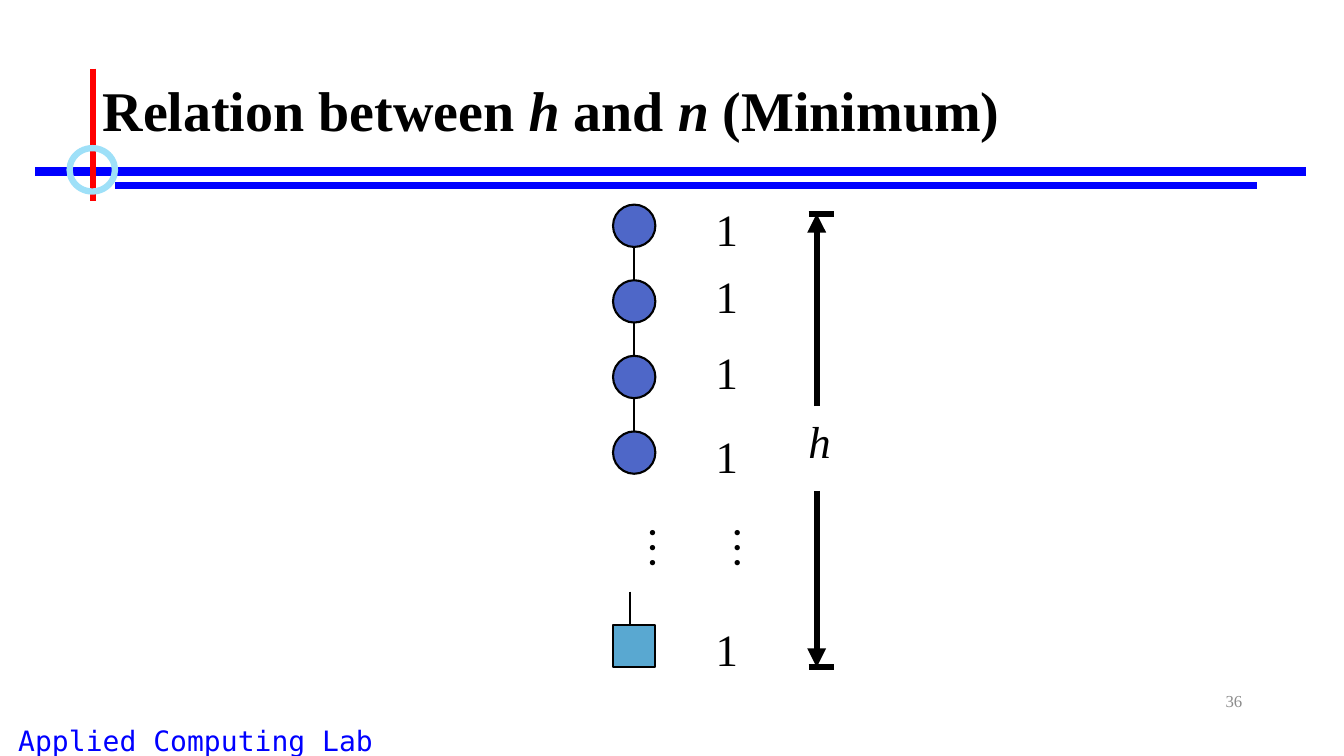
from lxml import etree
from pptx import Presentation
from pptx.dml.color import RGBColor
from pptx.enum.shapes import MSO_CONNECTOR, MSO_SHAPE
from pptx.enum.text import MSO_ANCHOR, PP_ALIGN
from pptx.oxml.ns import qn
from pptx.util import Pt

STRAIGHT = MSO_CONNECTOR.STRAIGHT
OVAL, RECTANGLE = MSO_SHAPE.OVAL, MSO_SHAPE.RECTANGLE
TOP, MIDDLE = MSO_ANCHOR.TOP, MSO_ANCHOR.MIDDLE
LEFT, CENTER, RIGHT = PP_ALIGN.LEFT, PP_ALIGN.CENTER, PP_ALIGN.RIGHT

EMU_PER_PX = 9144
SERIF, MONO = "Times New Roman", "DejaVu Sans Mono"
COLORS = {
    "black": "000000",
    "blue": "0000FF",
    "red": "FF0000",
    "ring": "9EE0F8",
    "node": "4E67C8",
    "leaf": "59A8D1",
    "gray": "8C8C8C",
}
NODE_LEFT, NODE_TOP, NODE_SIZE, NODE_STEP = 608, 203, 42, 75
NODE_COUNT = 4
NODE_MIDDLE = NODE_LEFT + NODE_SIZE // 2
LEAF_TOP = 620
COUNT_TOPS = (195, 262, 337, 420, 612)
HEIGHT_X, HEIGHT_TOP, HEIGHT_BOTTOM = 810, 212, 662


def px(value):
    return value * EMU_PER_PX


def color(name):
    return RGBColor.from_string(COLORS[name])


def add_text(page, text, left, top, width, height, *, size=32, font=SERIF, ink="black",
             bold=False, italics=(), align=LEFT, anchor=TOP, wrap=False, rotation=0,
             spacing=None):
    box = page.shapes.add_textbox(px(left), px(top), px(width), px(height))
    box.rotation = rotation
    frame = box.text_frame
    frame.word_wrap = wrap
    frame.vertical_anchor = anchor
    para = frame.paragraphs[0]
    para.alignment = align
    if spacing:
        para.line_spacing = spacing
    for part in [text] if isinstance(text, str) else text:
        span = para.add_run()
        span.text = part
        span.font.name = font
        span.font.size = Pt(size)
        span.font.bold = bold
        span.font.italic = part.strip() in italics
        span.font.color.rgb = color(ink)


def add_line(page, x1, y1, x2, y2, *, ink="black", weight=1.5, arrow=False):
    line = page.shapes.add_connector(STRAIGHT, px(x1), px(y1), px(x2), px(y2))
    line.line.color.rgb = color(ink)
    line.line.width = Pt(weight)
    if arrow:
        etree.SubElement(line.line._get_or_add_ln(), qn("a:tailEnd"), type="triangle")
    etree.SubElement(line._element.spPr, qn("a:effectLst"))


def add_figure(page, kind, left, top, width, height, *, fill=None, ink="black", weight=1.5):
    figure = page.shapes.add_shape(kind, px(left), px(top), px(width), px(height))
    figure.shadow.inherit = False
    if fill:
        figure.fill.solid()
        figure.fill.fore_color.rgb = color(fill)
    else:
        figure.fill.background()
    figure.line.color.rgb = color(ink)
    figure.line.width = Pt(weight)


def add_frame(page):
    add_text(page, "Applied Computing Lab", 0, 713, 388, 37, size=20, font=MONO,
             ink="blue", align=CENTER, wrap=True)
    add_line(page, 35, 170, 1295, 170, ink="blue", weight=6)
    add_line(page, 114, 184, 1247, 184, ink="blue", weight=4.5)
    add_line(page, 92, 68, 92, 199, ink="red", weight=4.5)
    add_figure(page, OVAL, 69, 147, 45, 43, ink="ring", weight=4.5)
    add_text(page, ["Relation between ", "h", " and ", "n ", "(Minimum)"], 92, 40, 1150, 145,
             size=40, bold=True, italics=("h", "n"), anchor=MIDDLE, wrap=True, spacing=0.9)
    add_text(page, "36", 942, 675, 300, 40, size=12, ink="gray", align=RIGHT,
             anchor=MIDDLE, wrap=True)


def add_chain(page):
    for index in range(NODE_COUNT):
        top = NODE_TOP + index * NODE_STEP
        add_figure(page, OVAL, NODE_LEFT, top, NODE_SIZE, NODE_SIZE, fill="node")
        if index:
            add_line(page, NODE_MIDDLE, top - NODE_STEP + NODE_SIZE, NODE_MIDDLE, top)
    add_figure(page, RECTANGLE, NODE_LEFT, LEAF_TOP, NODE_SIZE, NODE_SIZE, fill="leaf")
    add_line(page, 625, 587, 625, LEAF_TOP)
    for top in COUNT_TOPS:
        add_text(page, "1", 700, top, 42, 63)
    for left in (599, 683):
        add_text(page, "…", left, 512, 65, 63, rotation=270)


def add_height(page):
    for y in (HEIGHT_TOP, HEIGHT_BOTTOM):
        add_line(page, 802, y, 827, y, weight=4.5)
    for start, end in ((403, HEIGHT_TOP), (487, HEIGHT_BOTTOM)):
        add_line(page, HEIGHT_X, start, HEIGHT_X, end, weight=4.5, arrow=True)
    add_text(page, "h", 792, 406, 43, 64, italics=("h",))


def main():
    deck = Presentation()
    deck.slide_width, deck.slide_height = px(1333), px(750)
    page = deck.slides.add_slide(deck.slide_layouts[6])
    add_frame(page)
    add_chain(page)
    add_height(page)
    deck.save("out.pptx")


if __name__ == "__main__":
    main()
